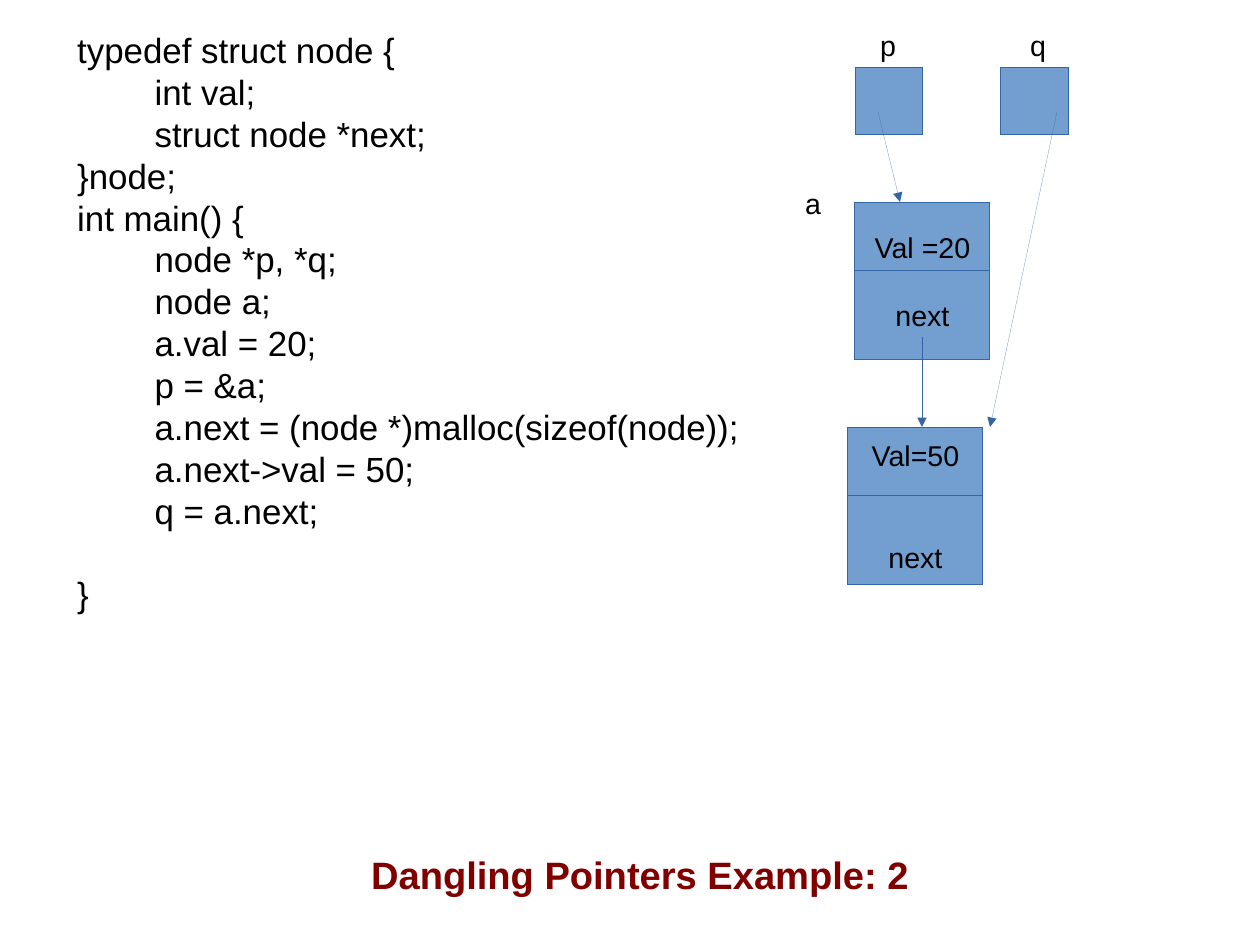
from dataclasses import dataclass
from lxml.etree import SubElement
from pptx import Presentation
from pptx.dml.color import RGBColor
from pptx.enum.shapes import MSO_CONNECTOR, MSO_SHAPE
from pptx.enum.text import MSO_ANCHOR, PP_ALIGN
from pptx.oxml.ns import qn
from pptx.util import Pt

# Content
TITLE = "Dangling Pointers Example: 2"
CODE = [
    "typedef struct node {",
    "        int val;",
    "        struct node *next;",
    "}node;",
    "int main() {",
    "        node *p, *q;",
    "        node a;",
    "        a.val = 20;",
    "        p = &a;",
    "        a.next = (node *)malloc(sizeof(node));",
    "        a.next->val = 50;",
    "        q = a.next;",
    "}",
]
# Lengths in px
CELL, NODE_W, NODE_H = 68, 135, 158
LABELS = [("p", 869, 22), ("q", 1019, 22), ("a", 794, 180)]
CELLS = [(855, 67), (1001, 67)]
# Fields, gap between them in points, left, top
NODES = [
    (["Val =20", "next"], 21, 855, 202),
    (["Val=50", "next"], 43, 848, 427),
]
ARROWS = [
    (878, 112, 900, 202),
    (922, 337, 922, 427),
    (1057, 112, 990, 427),
]


@dataclass
class Theme:
    font: str = "Arial"
    ink: str = "000000"
    head: str = "800000"
    fill: str = "729FCF"
    line: str = "3465A4"
    title: int = 24
    code: int = 22
    label: int = 18


theme = Theme()


def px(n):
    return n * 8000


def color(code):
    return RGBColor.from_string(code)


def write(shape, lines, size=theme.label, ink=theme.ink, bold=False,
          align=PP_ALIGN.LEFT, anchor=MSO_ANCHOR.TOP, wrap=True, gap=0):
    """Fill a shape with lines; gap is the space before the last one."""
    frame = shape.text_frame
    frame.word_wrap = wrap
    frame.vertical_anchor = anchor
    for i, line in enumerate(lines):
        para = frame.paragraphs[0] if i == 0 else frame.add_paragraph()
        para.alignment = align
        if gap and i == len(lines) - 1:
            para.space_before = Pt(gap)
        run = para.add_run()
        run.text = line
        font = run.font
        font.name, font.size, font.bold = theme.font, Pt(size), bold
        font.color.rgb = color(ink)


def stroke(shape):
    """Give a shape a hairline; width zero must be stated in the XML."""
    shape.line.color.rgb = color(theme.line)
    edge = shape._element.spPr.find(qn("a:ln"))
    edge.set("w", "0")
    return edge


def box(left, top, wide, high):
    shape = slide.shapes.add_shape(
        MSO_SHAPE.RECTANGLE, px(left), px(top), px(wide), px(high))
    shape.shadow.inherit = False
    shape.fill.solid()
    shape.fill.fore_color.rgb = color(theme.fill)
    stroke(shape)
    return shape


def link(x1, y1, x2, y2, arrow=False):
    line = slide.shapes.add_connector(
        MSO_CONNECTOR.STRAIGHT, px(x1), px(y1), px(x2), px(y2))
    edge = stroke(line)
    if arrow:
        SubElement(edge, qn("a:tailEnd"), type="triangle")
    SubElement(line._element.spPr, qn("a:effectLst"))


def label(lines, left, top, wide, high, **form):
    shape = slide.shapes.add_textbox(px(left), px(top), px(wide), px(high))
    write(shape, lines, **form)


deck = Presentation()
deck.slide_width, deck.slide_height = px(1260), px(945)
slide = deck.slides.add_slide(deck.slide_layouts[5])

# Title
title = slide.shapes.title
title.left, title.top, title.width, title.height = map(px, (340, 846, 600, 54))
write(title, [TITLE], size=theme.title, ink=theme.head, bold=True,
      align=PP_ALIGN.CENTER)

# Code, with one open line before the closing brace
label(CODE, 66, 23, 700, 558, size=theme.code, gap=26)

# Pointers and labels
for left, top in CELLS:
    box(left, top, CELL, CELL)
for text, left, top in LABELS:
    label([text], left, top, 39, 43, wrap=False)

# Nodes, each split below its value
for fields, gap, left, top in NODES:
    write(box(left, top, NODE_W, NODE_H), fields, gap=gap,
          align=PP_ALIGN.CENTER, anchor=MSO_ANCHOR.MIDDLE)
    link(left, top + CELL, left + NODE_W, top + CELL)

# Arrows
for ends in ARROWS:
    link(*ends, arrow=True)

deck.save("out.pptx")
